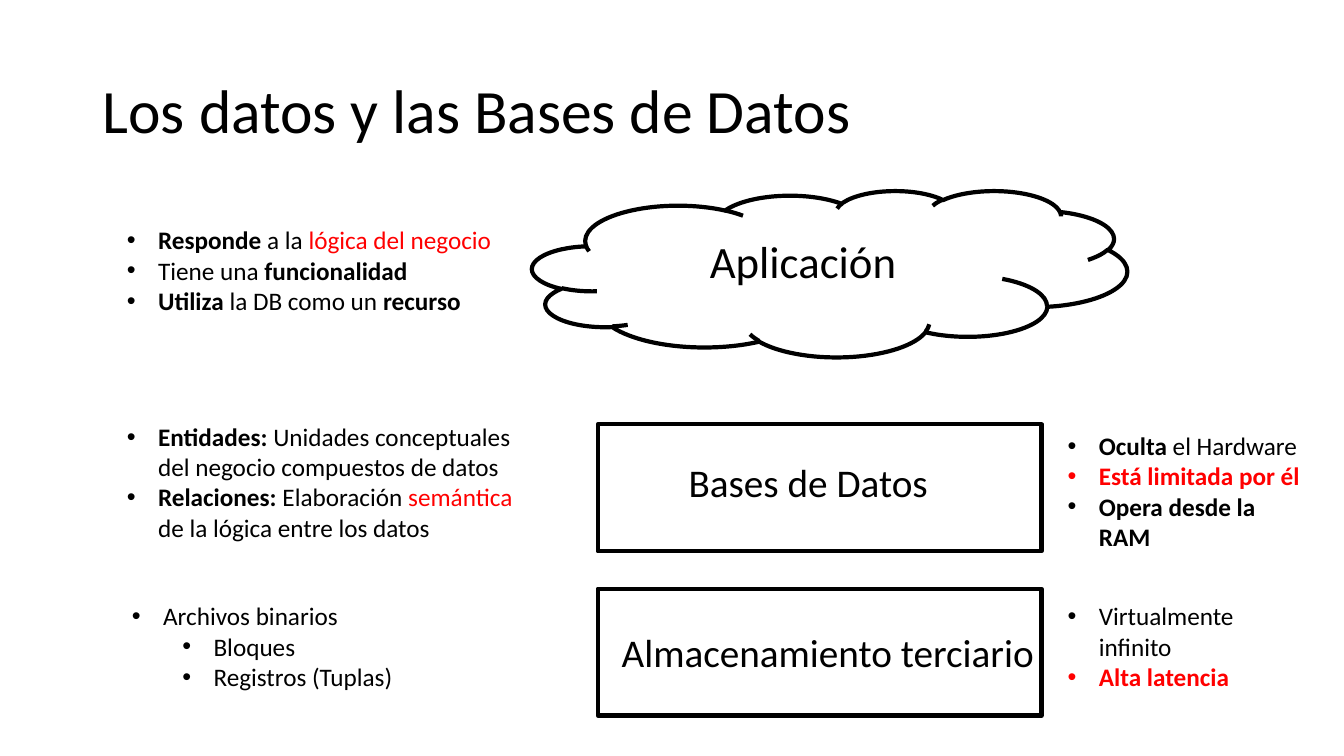
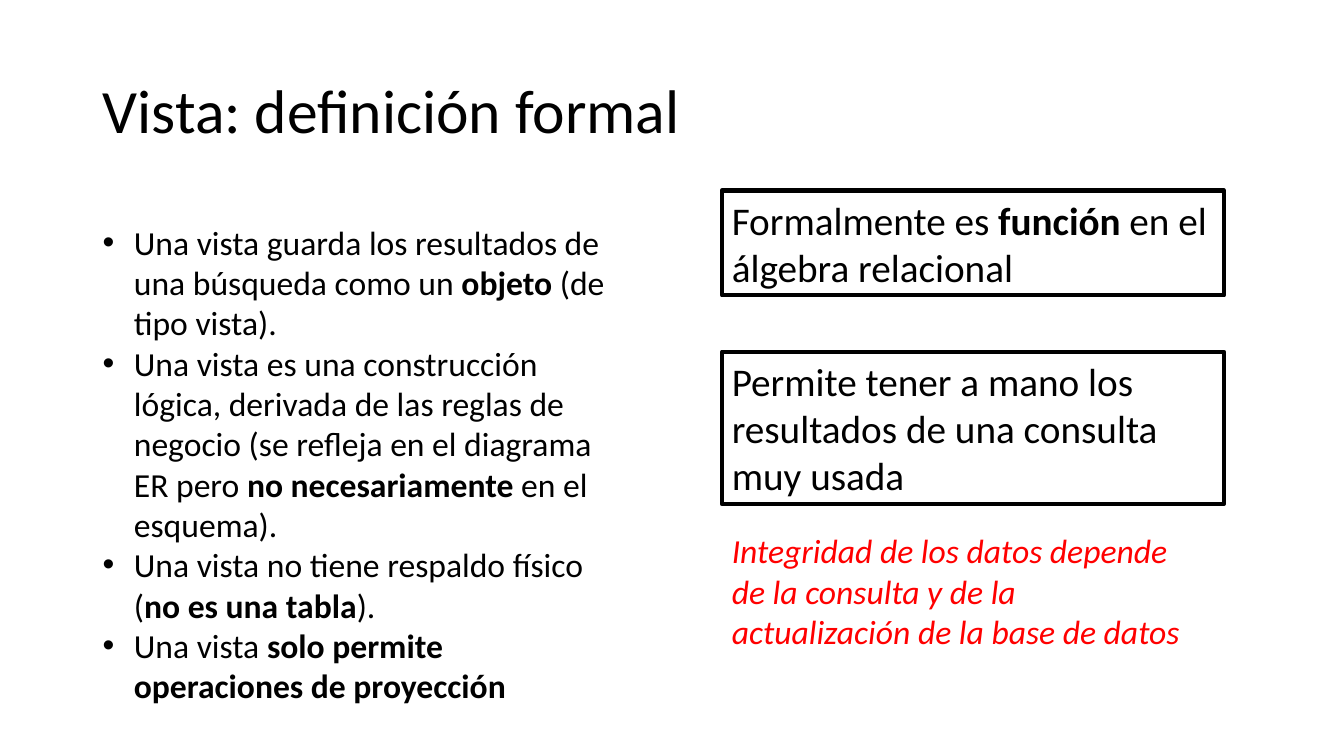
"""Build two slides about databases and views."""
from lxml.etree import SubElement
from pptx import Presentation
from pptx.dml.color import RGBColor as RGB
from pptx.enum.shapes import MSO_SHAPE as Shape
from pptx.enum.text import MSO_ANCHOR as Anchor, MSO_AUTO_SIZE as Auto, PP_ALIGN as Align
from pptx.oxml.ns import qn
from pptx.util import Inches, Pt

BLACK = RGB(0, 0, 0)
WHITE = RGB(255, 255, 255)
RED = RGB(255, 0, 0)


class Deck:
    def __init__(self):
        self.prs = Presentation()
        self.prs.slide_width = Inches(13.33)
        self.prs.slide_height = Inches(7.5)
        self.font = "Calibri"
        self.slide = None

    def page(self, title):
        self.slide = self.prs.slides.add_slide(self.prs.slide_layouts[6])
        box = self.text((0.92, 0.4, 11.5, 1.45), [title], 44, grow=False)
        box.text_frame.vertical_anchor = Anchor.MIDDLE
        box.text_frame.paragraphs[0].line_spacing = 0.9

    def bullet(self, para, level):
        para.level = level
        props = para._p.get_or_add_pPr()
        props.set("marL", str(Inches(0.31 + 0.5 * level)))
        props.set("indent", str(-Inches(0.31)))
        SubElement(props, qn("a:buFont"), typeface="Arial")
        SubElement(props, qn("a:buChar"), char="•")

    def style(self, para, parts, size):
        for part in [parts] if isinstance(parts, str) else parts:
            words, marks = (part, "") if isinstance(part, str) else part
            run = para.add_run()
            run.text = words
            font = run.font
            font.name, font.size = self.font, Pt(size)
            font.bold, font.italic = "b" in marks, "i" in marks
            font.color.rgb = RED if "r" in marks else BLACK

    def fill(self, frame, lines, size, align=Align.LEFT, levels=None):
        frame.word_wrap = True
        for row, parts in enumerate(lines):
            para = frame.add_paragraph() if row else frame.paragraphs[0]
            para.alignment = align
            if levels:
                self.bullet(para, levels[row])
            self.style(para, parts, size)

    def text(self, area, lines, size, align=Align.LEFT, levels=None, grow=True):
        box = self.slide.shapes.add_textbox(*map(Inches, area))
        self.fill(box.text_frame, lines, size, align, levels)
        box.text_frame.auto_size = Auto.SHAPE_TO_FIT_TEXT if grow else Auto.NONE
        return box

    def label(self, area, words, size=28):
        return self.text(area, [words], size, Align.CENTER)

    def points(self, area, lines, size=18, levels=None):
        return self.text(area, lines, size, levels=levels or [0] * len(lines))

    def frame(self, area, kind=Shape.RECTANGLE, back=None, lines=()):
        shape = self.slide.shapes.add_shape(kind, *map(Inches, area))
        shape.shadow.inherit = False
        if back is None:
            shape.fill.background()
        else:
            shape.fill.solid()
            shape.fill.fore_color.rgb = back
        shape.line.color.rgb = BLACK
        shape.line.width = Pt(3)
        self.fill(shape.text_frame, lines, 28)
        return shape


def layers(deck):
    deck.page("Los datos y las Bases de Datos")
    cloud = deck.frame((5.28, 1.89, 5.9, 1.65), Shape.CLOUD, WHITE)
    name = deck.label((5.67, 2.27, 4.59, 0.64), "Aplicación", 32)
    deck.slide.shapes.add_group_shape([cloud, name])
    for top in (4.21, 5.84):
        deck.frame((5.93, top, 4.4, 1.26))
    deck.label((6.29, 4.5, 3.45, 0.57), "Bases de Datos")
    deck.label((5.93, 6.18, 4.56, 0.57), "Almacenamiento terciario")

    deck.points((1.16, 2.18, 4.12, 1.01), [
        [("Responde ", "b"), "a la ", ("lógica del negocio", "r")],
        ["Tiene una ", ("funcionalidad", "b")],
        [("Utiliza", "b"), " la DB como un ", ("recurso", "b")],
    ])
    deck.points((1.16, 4.13, 4.12, 1.31), [
        [("Entidades:", "b"), " Unidades conceptuales del negocio compuestos de datos"],
        [("Relaciones: ", "b"), "Elaboración ", ("semántica", "r"),
         " de la lógica entre los datos"],
    ])
    deck.points((1.21, 5.91, 4.12, 1.01),
                ["Archivos binarios", "Bloques", "Registros (Tuplas)"], levels=[0, 1, 1])
    deck.points((10.49, 4.22, 2.59, 1.31), [
        [("Oculta", "b"), " el Hardware"],
        [("Está limitada por él", "br")],
        [("Opera desde la RAM", "b")],
    ])
    deck.points((10.49, 5.91, 2.59, 1.01),
                ["Virtualmente infinito", [("Alta latencia", "br")]])


def views(deck):
    deck.page("Vista: definición formal")
    deck.points((0.92, 2.15, 5.33, 4.95), [
        ["Una vista guarda los resultados de una búsqueda como un ",
         ("objeto", "b"), " (de tipo vista)."],
        ["Una vista es una construcción lógica, derivada de las reglas de negocio "
         "(se refleja en el diagrama ER pero ",
         ("no necesariamente", "b"), " en el esquema)."],
        ["Una vista no tiene respaldo físico (", ("no es una tabla", "b"), ")."],
        ["Una vista ", ("solo permite operaciones de proyección", "b")],
    ], 24)
    deck.frame((7.16, 1.89, 4.98, 1.04), lines=[
        ["Formalmente es ", ("función", "b"), " en el álgebra relacional"]])
    deck.frame((7.16, 3.49, 4.98, 1.51), lines=[
        "Permite tener a mano los resultados de una consulta muy usada"])
    deck.text((7.16, 5.21, 4.84, 1.31), [
        [("Integridad de los datos depende de la consulta y de la "
          "actualización de la base de datos", "ir")]], 24)


def main():
    deck = Deck()
    layers(deck)
    views(deck)
    deck.prs.save("out.pptx")


if __name__ == "__main__":
    main()
